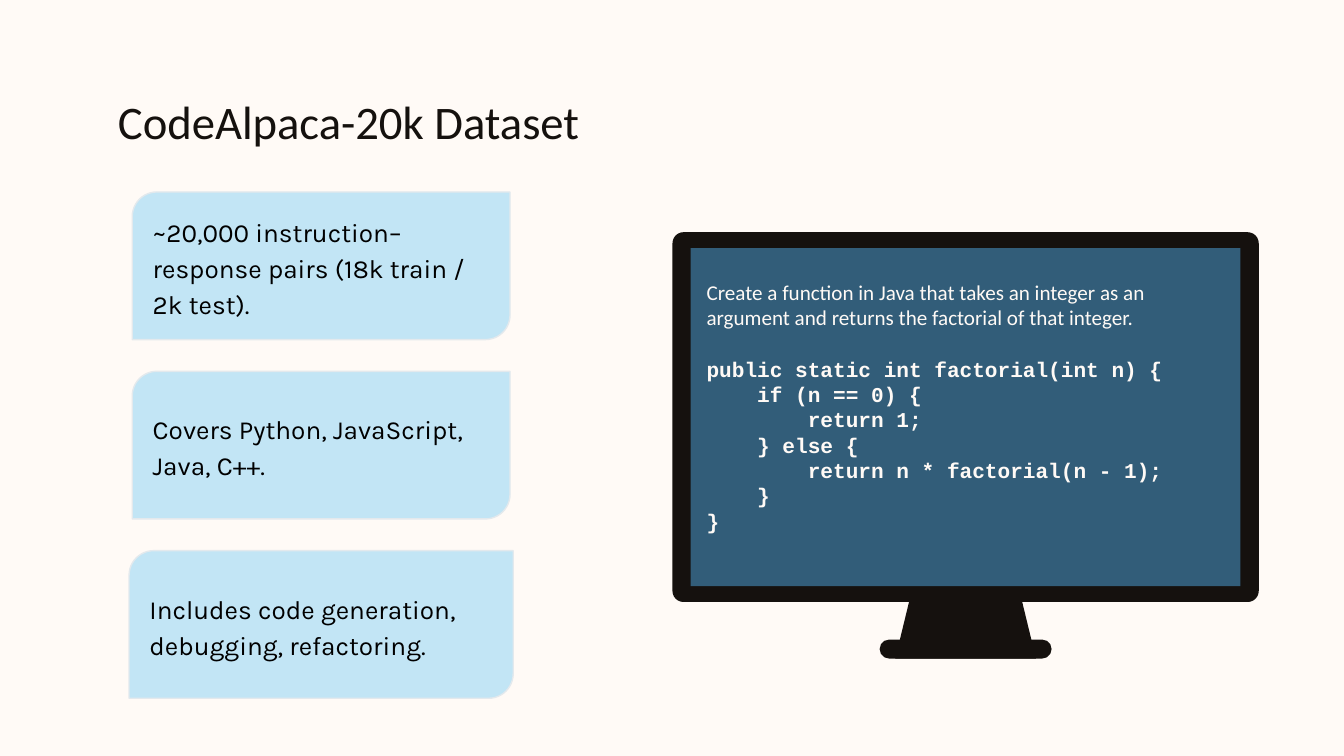
from dataclasses import dataclass

from pptx import Presentation
from pptx import util as u
from pptx.dml import color
from pptx.enum import shapes, text

INK, CREAM, SKY, EDGE, SCREEN = "15110E", "FFFAF6", "C2E5F5", "E3E9ED", "325D79"
INSET = 0.25
CALLOUT_CENTRE, CALLOUT_TOP, CALLOUT_PITCH, CALLOUT_HEIGHT = 6.07, 3.63, 3.39, 2.79
MONITOR_CENTRE = 18.25
PROMPT = ("Create a function in Java that takes an integer as an argument "
          "and returns the factorial of that integer.")
CODE = """public static int factorial(int n) {
    if (n == 0) {
        return 1;
    } else {
        return n * factorial(n - 1);
    }
}"""


@dataclass
class Callout:
    words: str
    width: float


@dataclass
class Block:
    kind: shapes.MSO_SHAPE
    centre: float
    top: float
    width: float
    height: float
    fill: str
    corner: float | None = None
    edge: str | None = None


@dataclass
class Style:
    name: str
    size: float
    colour: str
    bold: bool = False


CALLOUTS = [
    Callout("~20,000 instruction–response pairs (18k train / 2k test).", 7.14),
    Callout("Covers Python, JavaScript, Java, C++.", 7.14),
    Callout("Includes code generation, debugging, refactoring.", 7.26),
]
TITLE_STYLE = Style("Calibri", 25, INK)
CALLOUT_STYLE = Style("Karla", 14, "000000")
PROMPT_STYLE = Style("Calibri", 11.3, CREAM)
CODE_STYLE = Style("Courier New", 11.3, CREAM, True)


def rgb(value: str) -> color.RGBColor:
    return color.RGBColor.from_string(value)


def apply(target, formats: dict) -> None:
    for name, value in formats.items():
        setattr(target, name, value)


def paint(shape, fill: str, edge: str | None = None) -> None:
    shape.shadow.inherit = False
    shape.fill.solid()
    shape.fill.fore_color.rgb = rgb(fill)
    if edge:
        shape.line.color.rgb = rgb(edge)
        shape.line.width = u.Pt(0.75)
    else:
        shape.line.fill.background()


def draw_block(page, block: Block):
    shape = page.shapes.add_shape(
        block.kind, u.Cm(block.centre - block.width / 2), u.Cm(block.top),
        u.Cm(block.width), u.Cm(block.height))
    if block.corner is not None:
        shape.adjustments[0] = block.corner
    paint(shape, block.fill, block.edge)
    return shape


def prepare(box, anchor: text.MSO_ANCHOR, inset: float, top: float) -> None:
    apply(box, {
        "word_wrap": True, "auto_size": text.MSO_AUTO_SIZE.NONE,
        "vertical_anchor": anchor,
        "margin_left": u.Cm(inset), "margin_right": u.Cm(inset),
        "margin_top": u.Cm(top), "margin_bottom": u.Cm(inset)})


def write(para, words: str, style: Style, **formats) -> None:
    apply(para, {"alignment": text.PP_ALIGN.LEFT, **formats})
    span = para.add_run()
    span.text = words
    apply(span.font, {"name": style.name, "size": u.Pt(style.size), "bold": style.bold})
    span.font.color.rgb = rgb(style.colour)


def draw_title(page) -> None:
    title = page.shapes.title
    apply(title, {"left": u.Cm(1.98), "top": u.Cm(1.5),
                  "width": u.Cm(21.44), "height": u.Cm(1.52)})
    prepare(title.text_frame, text.MSO_ANCHOR.TOP, INSET, INSET)
    write(title.text_frame.paragraphs[0], "CodeAlpaca-20k Dataset", TITLE_STYLE)


def draw_callout(page, callout: Callout, row: int) -> None:
    shape = draw_block(page, Block(
        shapes.MSO_SHAPE.ROUND_2_DIAG_RECTANGLE, CALLOUT_CENTRE,
        CALLOUT_TOP + row * CALLOUT_PITCH, callout.width, CALLOUT_HEIGHT,
        SKY, 0.167, EDGE))
    prepare(shape.text_frame, text.MSO_ANCHOR.MIDDLE, INSET, INSET)
    write(shape.text_frame.paragraphs[0], callout.words, CALLOUT_STYLE, line_spacing=1.15)


def draw_stand(page) -> None:
    corners = [(u.Cm(MONITOR_CENTRE + offset), u.Cm(y))
               for offset, y in [(-1.05, 11.3), (-1.33, 12.45), (1.33, 12.45), (1.05, 11.3)]]
    builder = page.shapes.build_freeform(*corners[0])
    builder.add_line_segments(corners[1:], close=True)
    paint(builder.convert_to_shape(), INK)


def draw_monitor(page) -> None:
    rounded = shapes.MSO_SHAPE.ROUNDED_RECTANGLE
    draw_stand(page)
    draw_block(page, Block(rounded, MONITOR_CENTRE, 4.39, 11.08, 6.99, INK, 0.03))
    screen = draw_block(page, Block(
        shapes.MSO_SHAPE.RECTANGLE, MONITOR_CENTRE, 4.69, 10.39, 6.39, SCREEN))
    draw_block(page, Block(rounded, MONITOR_CENTRE, 12.09, 3.25, 0.36, INK, 0.5))

    box = screen.text_frame
    prepare(box, text.MSO_ANCHOR.TOP, 0.3, 0.59)
    write(box.paragraphs[0], PROMPT, PROMPT_STYLE, space_after=u.Pt(14))
    for line in CODE.splitlines():
        write(box.add_paragraph(), line, CODE_STYLE)


def main() -> None:
    deck = Presentation()
    apply(deck, {"slide_width": u.Cm(25.4), "slide_height": u.Cm(14.29)})
    page = deck.slides.add_slide(deck.slide_layouts.get_by_name("Title Only"))
    page.background.fill.solid()
    page.background.fill.fore_color.rgb = rgb(CREAM)
    draw_title(page)
    for row, callout in enumerate(CALLOUTS):
        draw_callout(page, callout, row)
    draw_monitor(page)
    deck.save("out.pptx")


if __name__ == "__main__":
    main()
